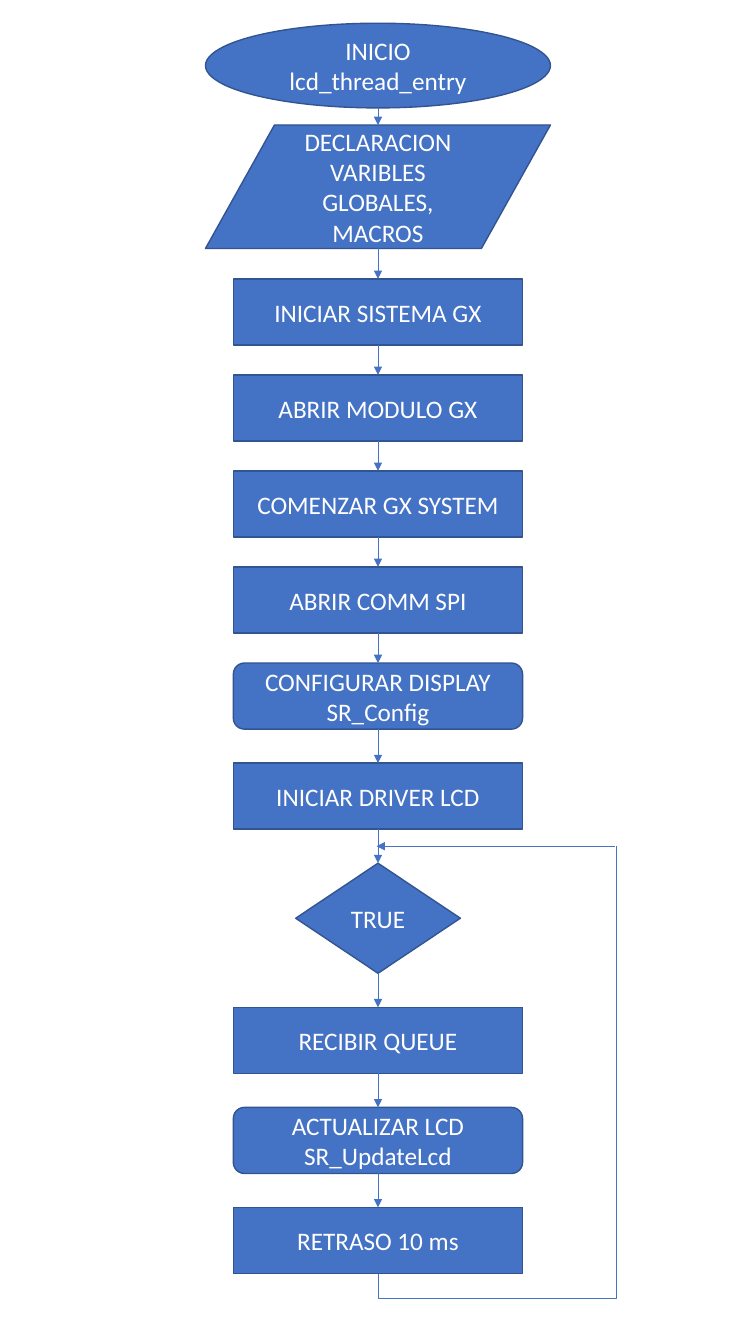
from lxml import etree
from pptx import Presentation
from pptx.dml.color import RGBColor
from pptx.enum.shapes import MSO_CONNECTOR, MSO_SHAPE
from pptx.enum.text import MSO_ANCHOR, PP_ALIGN
from pptx.oxml.ns import qn
from pptx.util import Pt

TERMINAL = MSO_SHAPE.OVAL
DATA = MSO_SHAPE.FLOWCHART_DATA
START = MSO_SHAPE.RECTANGLE
PROCESS = MSO_SHAPE.FLOWCHART_PROCESS
SUBROUTINE = MSO_SHAPE.ROUNDED_RECTANGLE
DECISION = MSO_SHAPE.FLOWCHART_DECISION
STRAIGHT = MSO_CONNECTOR.STRAIGHT
ELBOW = MSO_CONNECTOR.ELBOW
CENTER = PP_ALIGN.CENTER
MIDDLE = MSO_ANCHOR.MIDDLE

BLUE = RGBColor(0x44, 0x72, 0xC4)
DARK_BLUE = RGBColor(0x32, 0x54, 0x91)
WHITE = RGBColor(0xFF, 0xFF, 0xFF)

FONT_FORMAT = {"name": "Calibri", "size": Pt(18)}
FRAME_FORMAT = {"word_wrap": True, "vertical_anchor": MIDDLE}

AXIS = 270
FIRST_TOP = 16.6
LOOP_RIGHT = 440
LOOP_DROP = 18
BOX = (206.6, 47.2)
WIDE = 246.4
SHORT_GAP = 21.4
LONG_GAP = 24.3

STEPS = [
    (TERMINAL, "INICIO lcd_thread_entry", (WIDE, 60.5), 12.2),
    (DATA, "DECLARACION VARIBLES GLOBALES, MACROS", (WIDE, 88.2), 21.7),
    (START, "INICIAR SISTEMA GX", BOX, SHORT_GAP),
    (PROCESS, "ABRIR MODULO GX", BOX, SHORT_GAP),
    (PROCESS, "COMENZAR GX SYSTEM", BOX, SHORT_GAP),
    (PROCESS, "ABRIR COMM SPI", BOX, SHORT_GAP),
    (SUBROUTINE, "CONFIGURAR DISPLAY\nSR_Config", BOX, LONG_GAP),
    (START, "INICIAR DRIVER LCD", BOX, LONG_GAP),
    (DECISION, "TRUE", (117.6, 78.6), LONG_GAP),
    (PROCESS, "RECIBIR QUEUE", BOX, LONG_GAP),
    (SUBROUTINE, "ACTUALIZAR LCD\nSR_UpdateLcd", BOX, LONG_GAP),
    (PROCESS, "RETRASO 10 ms", BOX, 0),
]


def apply_format(target, values):
    for name, value in values.items():
        setattr(target, name, value)


def add_step(slide, kind, label, top, size):
    width, height = size
    step = slide.shapes.add_shape(
        kind, Pt(AXIS - width / 2), Pt(top), Pt(width), Pt(height))
    step.shadow.inherit = False
    step.fill.solid()
    step.fill.fore_color.rgb = BLUE
    step.line.color.rgb = DARK_BLUE
    step.line.width = Pt(1)
    frame = step.text_frame
    frame.text = label
    apply_format(frame, FRAME_FORMAT)
    for paragraph in frame.paragraphs:
        paragraph.alignment = CENTER
        for run in paragraph.runs:
            apply_format(run.font, FONT_FORMAT)
            run.font.color.rgb = WHITE


def add_link(slide, kind, begin, end):
    link = slide.shapes.add_connector(kind, *map(Pt, begin + end))
    link.line.color.rgb = BLUE
    link.line.width = Pt(0.5)
    etree.SubElement(link.element.spPr, qn("a:effectLst"))
    return link


def add_arrow(slide, begin, end):
    arrow = add_link(slide, STRAIGHT, begin, end)
    outline = arrow.element.spPr.find(qn("a:ln"))
    etree.SubElement(outline, qn("a:tailEnd"), type="triangle")


def add_loop(slide, bottom, top):
    rise, reach = bottom - top, LOOP_RIGHT - AXIS
    middle_x, middle_y = (AXIS + LOOP_RIGHT) / 2, (bottom + top) / 2
    loop = add_link(
        slide, ELBOW,
        (middle_x + rise / 2, middle_y + reach / 2),
        (middle_x - rise / 2, middle_y - reach / 2))
    properties = loop.element.spPr
    properties.find(qn("a:xfrm")).set("rot", str(90 * 60000))
    guides = properties.find(qn("a:prstGeom")).find(qn("a:avLst"))
    bend = round(-LOOP_DROP / rise * 100000)
    etree.SubElement(guides, qn("a:gd"), name="adj1", fmla=f"val {bend}")
    add_arrow(slide, (LOOP_RIGHT - 1, top), (AXIS - 1, top))


def main():
    presentation = Presentation()
    presentation.slide_width = Pt(540)
    presentation.slide_height = Pt(960)
    slide = presentation.slides.add_slide(presentation.slide_layouts[6])

    top = FIRST_TOP
    gaps = []
    for kind, label, size, gap in STEPS:
        add_step(slide, kind, label, top, size)
        bottom = top + size[1]
        if kind == DECISION:
            loop_top = top - LONG_GAP / 2
        if gap:
            gaps.append((bottom, bottom + gap))
        top = bottom + gap

    for begin, end in gaps:
        add_arrow(slide, (AXIS, begin), (AXIS, end))
    add_loop(slide, bottom, loop_top)
    presentation.save("out.pptx")


main()
